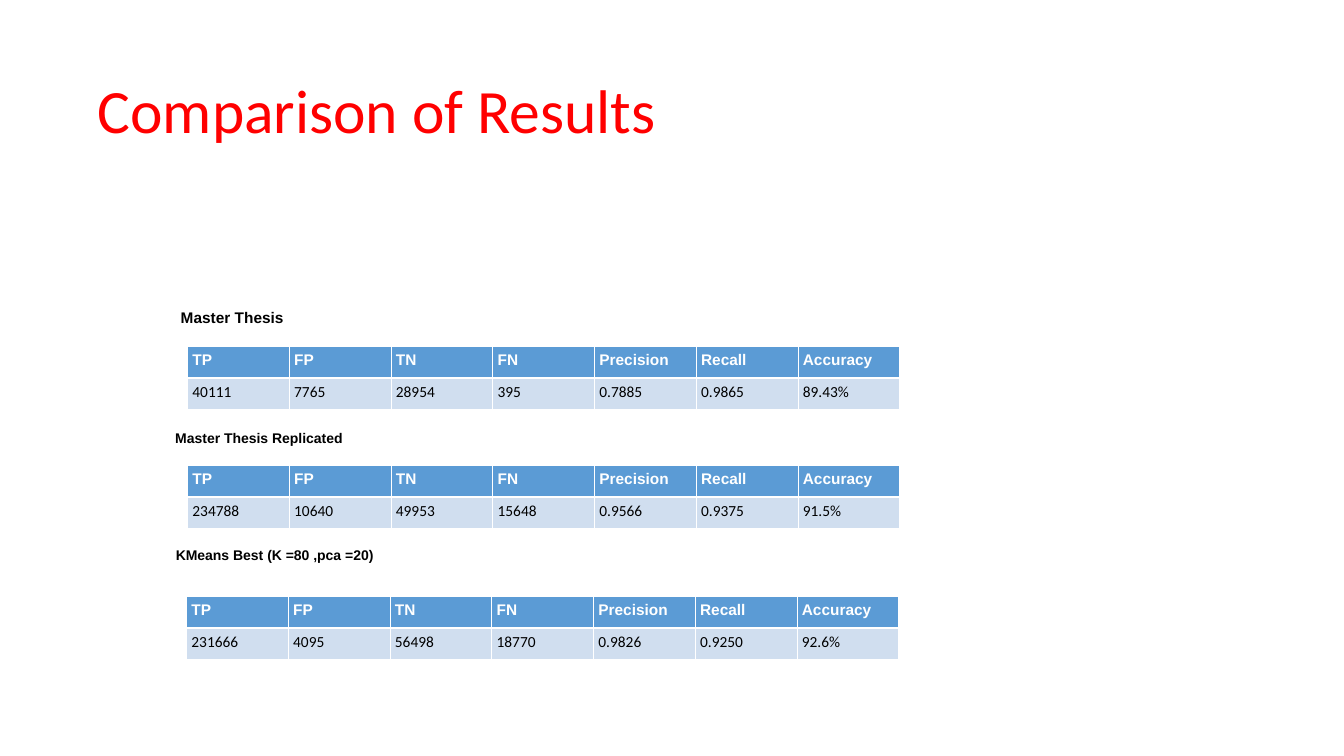
from dataclasses import dataclass

from lxml.etree import SubElement
from pptx import Presentation
from pptx.dml.color import RGBColor as RGB
from pptx.enum.shapes import MSO_SHAPE as Shape
from pptx.enum.text import MSO_ANCHOR as Anchor, PP_ALIGN as Align
from pptx.oxml.ns import qn
from pptx.util import Inches, Pt


@dataclass(frozen=True)
class Theme:
    red: str = "FF0000"
    black: str = "000000"
    white: str = "FFFFFF"
    header_blue: str = "5B9BD5"
    row_blue: str = "D0DEEF"
    heading_font: str = "Arial"
    body_font: str = "Calibri"
    title_size: float = 44
    table_size: float = 11
    caption_size: float = 10
    thin_rule: float = 0.45
    header_rule: float = 1.47


THEME = Theme()
METRICS = ("TP", "FP", "TN", "FN", "Precision", "Recall", "Accuracy")
COLUMN_WIDTH = 1.01
ROW_HEIGHT = 0.31

RESULTS = (
    ("Master Thesis", (1.63, 3, 1.35, 0.29), THEME.table_size, (1.86, 3.44),
     ("40111", "7765", "28954", "395", "0.7885", "0.9865", "89.43%")),
    ("Master Thesis Replicated", (1.45, 4.21, 2.24, 0.27), THEME.caption_size, (1.86, 4.62),
     ("234788", "10640", "49953", "15648", "0.9566", "0.9375", "91.5%")),
    ("KMeans Best (K =80 ,pca =20)", (1.63, 5.37, 2.19, 0.27), THEME.caption_size, (1.85, 5.92),
     ("231666", "4095", "56498", "18770", "0.9826", "0.9250", "92.6%")),
)


def write_text(holder, text, *, size, font, color, bold=False,
               align=Align.LEFT, anchor=Anchor.MIDDLE, spacing=1.0):
    holder.margin_left = holder.margin_right = Inches(0.05)
    holder.margin_top = holder.margin_bottom = Inches(0.05)
    holder.vertical_anchor = anchor
    holder.word_wrap = True
    paragraph = getattr(holder, "text_frame", holder).paragraphs[0]
    paragraph.alignment = align
    paragraph.line_spacing = spacing
    run = paragraph.add_run()
    run.text = text
    run.font.size = Pt(size)
    run.font.name = font
    run.font.bold = bold
    run.font.color.rgb = RGB.from_string(color)


def add_title(slide, text):
    title = slide.shapes.add_textbox(*map(Inches, (0.92, 0.4, 11.5, 1.45)))
    write_text(title.text_frame, text, size=THEME.title_size, font=THEME.body_font,
               color=THEME.red, spacing=0.9)


def add_caption(slide, text, box, size):
    caption = slide.shapes.add_shape(Shape.RECTANGLE, *map(Inches, box))
    caption.shadow.inherit = False
    caption.fill.solid()
    caption.fill.fore_color.rgb = RGB.from_string(THEME.white)
    caption.line.color.rgb = RGB.from_string(THEME.white)
    caption.line.width = Pt(1)
    write_text(caption.text_frame, text, size=size, font=THEME.heading_font,
               color=THEME.black, bold=True, align=Align.CENTER)


def add_borders(cell, **widths):
    properties = cell._tc.get_or_add_tcPr()
    for side in "LRTB":
        width = widths.get(side, THEME.thin_rule)
        border = SubElement(properties, qn(f"a:ln{side}"), w=str(Pt(width)))
        fill = SubElement(border, qn("a:solidFill"))
        SubElement(fill, qn("a:srgbClr"), val=THEME.white)


def fill_cell(cell, text, is_header):
    rule_side = "B" if is_header else "T"
    add_borders(cell, **{rule_side: THEME.header_rule})
    cell.fill.solid()
    cell.fill.fore_color.rgb = RGB.from_string(THEME.header_blue if is_header else THEME.row_blue)
    write_text(cell, text, size=THEME.table_size, bold=is_header, anchor=Anchor.TOP,
               font=THEME.heading_font if is_header else THEME.body_font,
               color=THEME.white if is_header else THEME.black)


def add_results_table(slide, left, top, scores):
    rows = (METRICS, scores)
    table = slide.shapes.add_table(
        len(rows), len(METRICS), Inches(left), Inches(top),
        Inches(COLUMN_WIDTH * len(METRICS)), Inches(ROW_HEIGHT * len(rows))).table
    for column in table.columns:
        column.width = Inches(COLUMN_WIDTH)
    for row_index, values in enumerate(rows):
        table.rows[row_index].height = Inches(ROW_HEIGHT)
        for column_index, value in enumerate(values):
            fill_cell(table.cell(row_index, column_index), value, row_index == 0)


def main():
    deck = Presentation()
    deck.slide_width = Inches(13.34)
    deck.slide_height = Inches(7.5)
    slide = deck.slides.add_slide(deck.slide_layouts[6])
    add_title(slide, "Comparison of Results")
    for caption, caption_box, caption_size, table_corner, scores in RESULTS:
        add_caption(slide, caption, caption_box, caption_size)
        add_results_table(slide, *table_corner, scores)
    deck.save("out.pptx")


if __name__ == "__main__":
    main()
